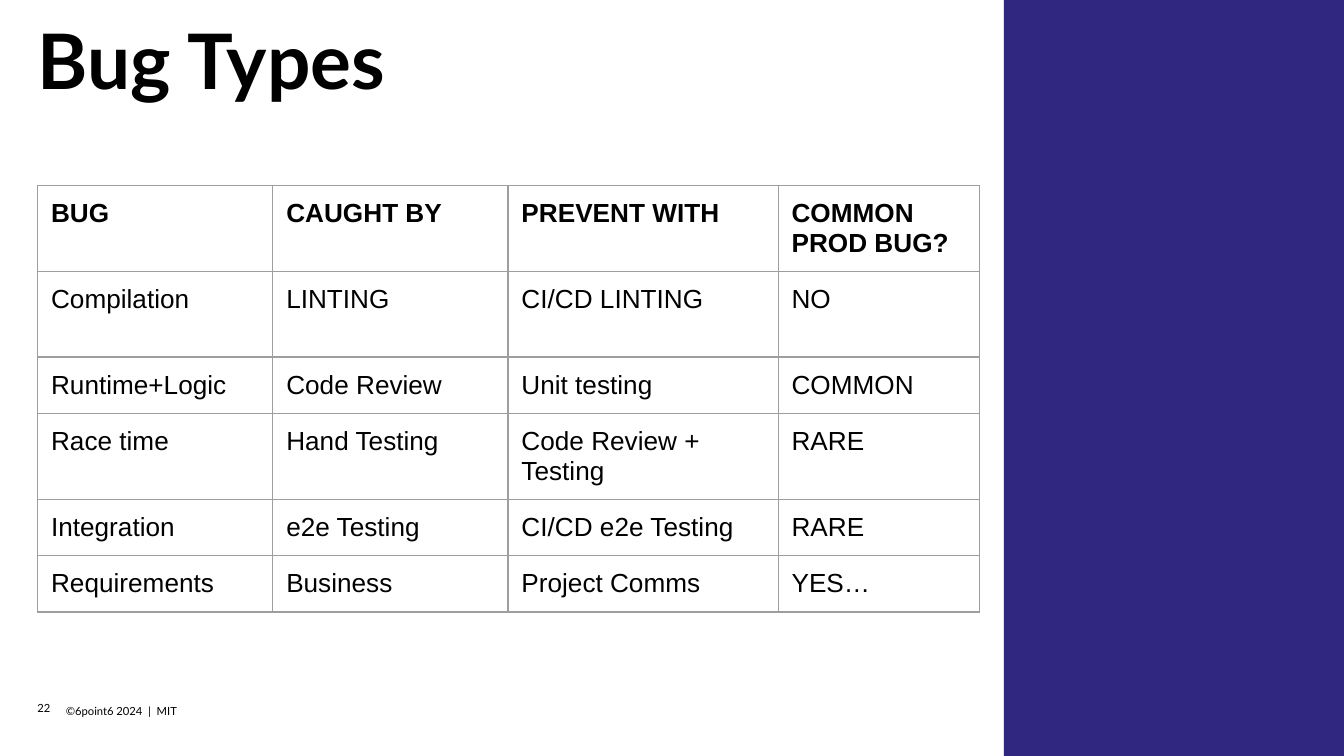
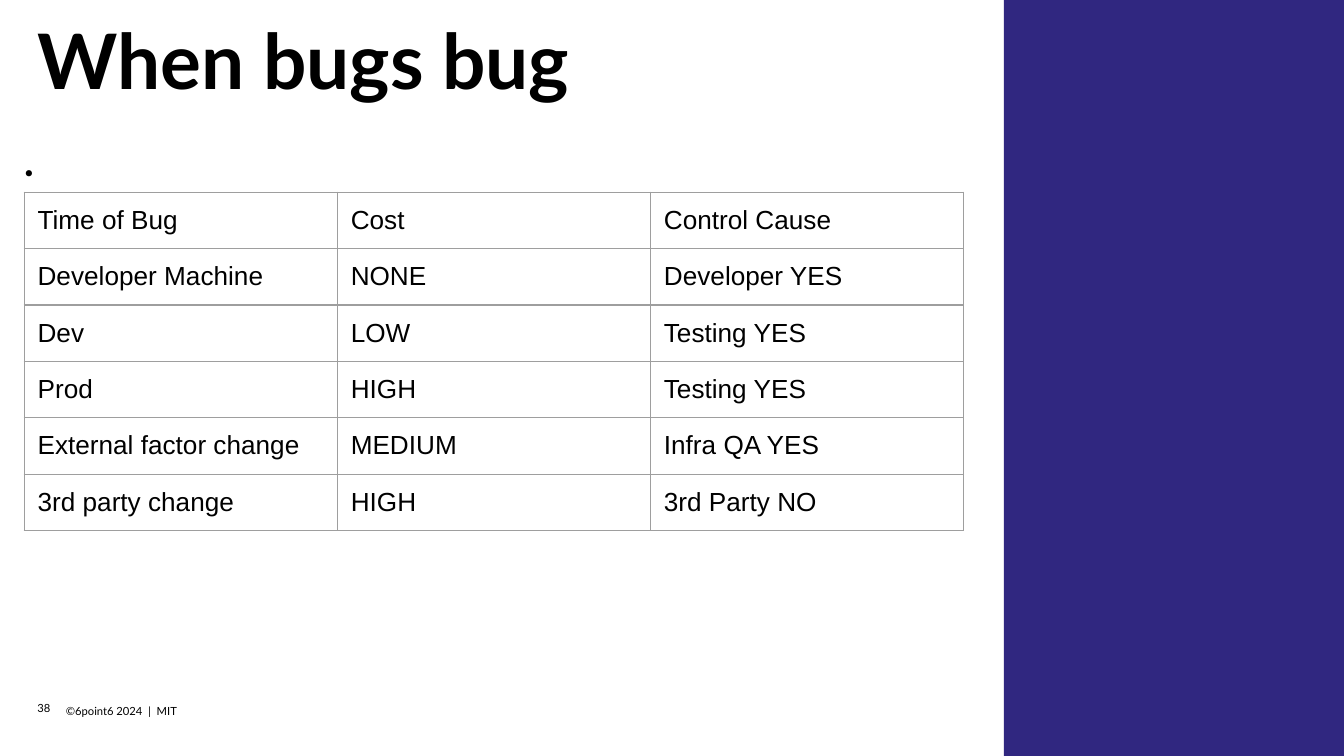
from dataclasses import dataclass

from lxml.etree import SubElement
from pptx import Presentation
from pptx.dml.color import RGBColor
from pptx.enum.shapes import MSO_SHAPE as Shape
from pptx.enum.text import MSO_ANCHOR as Anchor, MSO_AUTO_SIZE as AutoSize, PP_ALIGN as Align
from pptx.oxml.ns import qn
from pptx.slide import Slide
from pptx.table import _Cell as Cell
from pptx.text.text import TextFrame
from pptx.util import Inches, Pt

BLACK = RGBColor(0x00, 0x00, 0x00)
INDIGO = RGBColor(0x30, 0x27, 0x80)
GRID_GREY = RGBColor(0x9E, 0x9E, 0x9E)
HEADING_FONT = "Lato"
TABLE_FONT = "Arial"
COPYRIGHT = "©6point6 2024  |  MIT"
PAGE_WIDTH = Inches(10)
PAGE_HEIGHT = PAGE_WIDTH * 9 // 16
TITLE_ONLY, TITLE_AND_BODY = 5, 1
ROW, TALL_ROW = 0.42, 0.64


@dataclass
class TextStyle:
    size: float
    font: str = HEADING_FONT
    bold: bool = False
    spacing: float = 1.0
    anchor: Anchor = Anchor.TOP
    insets: tuple[float, float, float, float] = (0.1, 0.1, 0.1, 0.1)


@dataclass
class TableSpec:
    left: float
    top: float
    columns: list[float]
    heights: list[float]
    rows: list[list[str]]
    bold_header: bool = False


@dataclass
class PageSpec:
    title: str
    number: int
    table: TableSpec
    body: str = ""


TITLE = TextStyle(41, bold=True, spacing=0.9, anchor=Anchor.MIDDLE, insets=(0, 0.1, 0.1, 0.1))
BODY = TextStyle(22, bold=True, spacing=0.9, insets=(0, 0.04, 0.07, 0.04))
FOOTER = TextStyle(6, spacing=1.15, anchor=Anchor.MIDDLE, insets=(0, 0.1, 0.1, 0.1))
NUMBER = TextStyle(6, anchor=Anchor.MIDDLE)
CELL = TextStyle(14, TABLE_FONT)
HEADER_CELL = TextStyle(14, TABLE_FONT, bold=True)

PAGES = [
    PageSpec("Bug Types", 22, TableSpec(
        0.28, 1.38, [1.75, 1.75, 2.01, 1.5],
        [ROW, TALL_ROW, ROW, ROW, ROW, ROW],
        [
            ["BUG", "CAUGHT BY", "PREVENT WITH", "COMMON PROD BUG?"],
            ["Compilation", "LINTING", "CI/CD LINTING", "NO"],
            ["Runtime+Logic", "Code Review", "Unit testing", "COMMON"],
            ["Race time", "Hand Testing", "Code Review + Testing", "RARE"],
            ["Integration", "e2e Testing", "CI/CD e2e Testing", "RARE"],
            ["Requirements", "Business", "Project Comms", "YES…"],
        ],
        bold_header=True,
    )),
    PageSpec("When bugs bug", 38, TableSpec(
        0.18, 1.43, [2.33] * 3, [ROW] * 6,
        [
            ["Time of Bug", "Cost", "Control Cause"],
            ["Developer Machine", "NONE", "Developer YES"],
            ["Dev", "LOW", "Testing YES"],
            ["Prod", "HIGH", "Testing YES"],
            ["External factor change", "MEDIUM", "Infra QA YES"],
            ["3rd party change", "HIGH", "3rd Party NO"],
        ],
    ), body="."),
]


def write(frame: TextFrame, text: str, style: TextStyle) -> None:
    """Fill a text frame with one left-aligned paragraph."""
    frame.text = text
    para = frame.paragraphs[0]
    para.alignment = Align.LEFT
    para.line_spacing = style.spacing
    para.space_before = Pt(0)
    font = para.runs[0].font
    font.name, font.size, font.bold = style.font, Pt(style.size), style.bold
    font.color.rgb = BLACK


def write_box(box, at: tuple[float, ...], text: str, style: TextStyle) -> None:
    """Place a text box or placeholder and write in it."""
    box.left, box.top, box.width, box.height = map(Inches, at)
    frame = box.text_frame
    frame.word_wrap = True
    frame.auto_size = AutoSize.NONE
    frame.vertical_anchor = style.anchor
    (frame.margin_left, frame.margin_top,
     frame.margin_right, frame.margin_bottom) = map(Inches, style.insets)
    write(frame, text, style)


def add_text(page: Slide, at: tuple[float, ...], text: str, style: TextStyle) -> None:
    write_box(page.shapes.add_textbox(*map(Inches, at)), at, text, style)


def add_borders(cell: Cell) -> None:
    properties = cell._tc.get_or_add_tcPr()
    for side in ("a:lnL", "a:lnR", "a:lnT", "a:lnB"):
        line = SubElement(properties, qn(side), w=str(Pt(0.75)))
        fill = SubElement(line, qn("a:solidFill"))
        SubElement(fill, qn("a:srgbClr"), val=str(GRID_GREY))


def add_grid(page: Slide, spec: TableSpec) -> None:
    table = page.shapes.add_table(
        len(spec.rows), len(spec.columns), Inches(spec.left), Inches(spec.top),
        Inches(sum(spec.columns)), Inches(sum(spec.heights))).table
    table.first_row = table.horz_banding = False
    for column, width in zip(table.columns, spec.columns):
        column.width = Inches(width)
    for index, (row, height, texts) in enumerate(zip(table.rows, spec.heights, spec.rows)):
        row.height = Inches(height)
        style = HEADER_CELL if spec.bold_header and index == 0 else CELL
        for cell, text in zip(row.cells, texts):
            (cell.margin_left, cell.margin_top,
             cell.margin_right, cell.margin_bottom) = map(Inches, style.insets)
            add_borders(cell)
            cell.fill.background()
            write(cell.text_frame, text, style)


def add_frame(page: Slide, number: int) -> None:
    """Draw the side band, the copyright line and the page number."""
    band = page.shapes.add_shape(
        Shape.RECTANGLE, Inches(7.47), Inches(-0.02), Inches(2.57), Inches(5.67))
    band.shadow.inherit = False
    band.fill.solid()
    band.fill.fore_color.rgb = INDIGO
    band.line.fill.background()
    add_text(page, (0.49, 5.19, 2.24, 0.18), COPYRIGHT, FOOTER)
    add_text(page, (0.18, 5.18, 0.51, 0.18), str(number), NUMBER)


def add_body(page: Slide, text: str) -> None:
    body = page.placeholders[1]
    write_box(body, (0.18, 1.01, 6.89, 2.36), text, BODY)
    # Plain paragraph: no bullet and no indent
    properties = body.text_frame.paragraphs[0]._p.get_or_add_pPr()
    properties.set("marL", "0")
    properties.set("indent", "0")
    SubElement(properties, qn("a:buNone"))


def add_page(deck, spec: PageSpec) -> None:
    layout = deck.slide_layouts[TITLE_AND_BODY if spec.body else TITLE_ONLY]
    page = deck.slides.add_slide(layout)
    add_frame(page, spec.number)
    write_box(page.shapes.title, (0.28, 0.26, 6.89, 0.44), spec.title, TITLE)
    if spec.body:
        add_body(page, spec.body)
    add_grid(page, spec.table)


def main() -> None:
    deck = Presentation()
    deck.slide_width, deck.slide_height = PAGE_WIDTH, PAGE_HEIGHT
    for spec in PAGES:
        add_page(deck, spec)
    deck.save("out.pptx")


if __name__ == "__main__":
    main()
